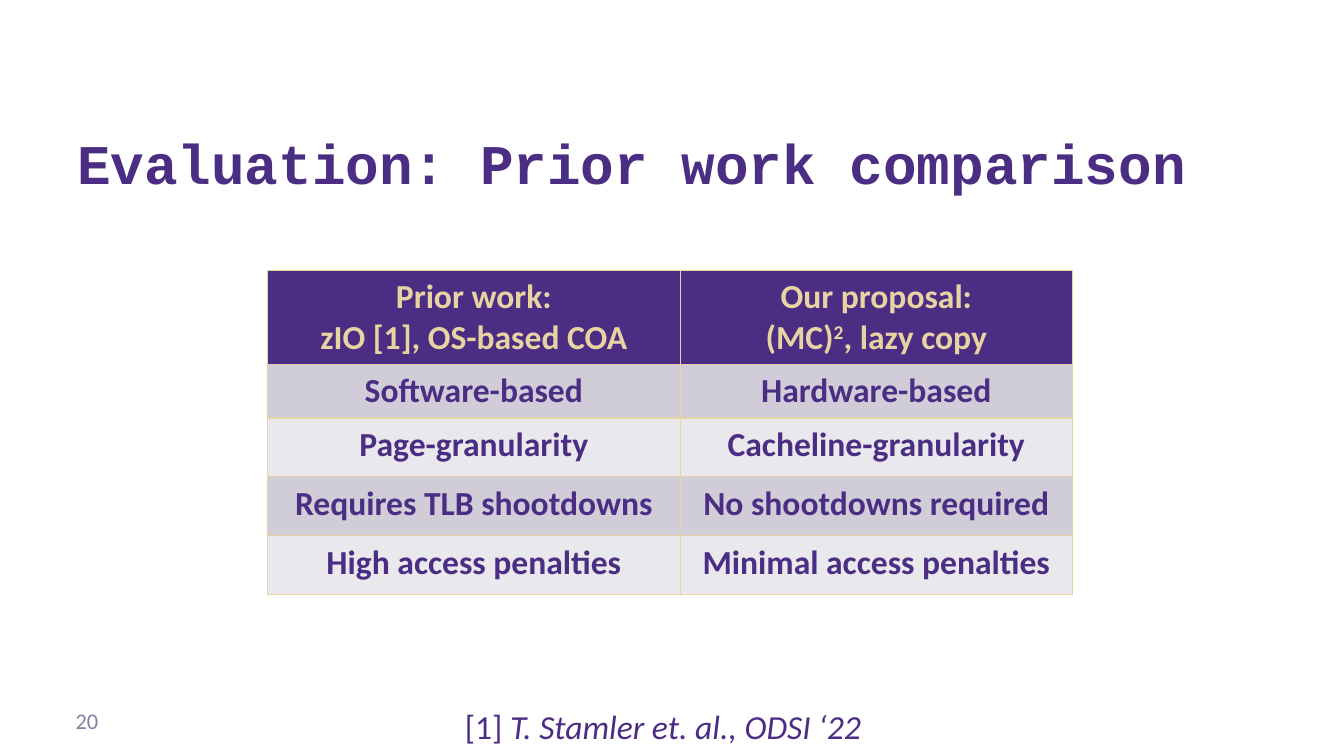
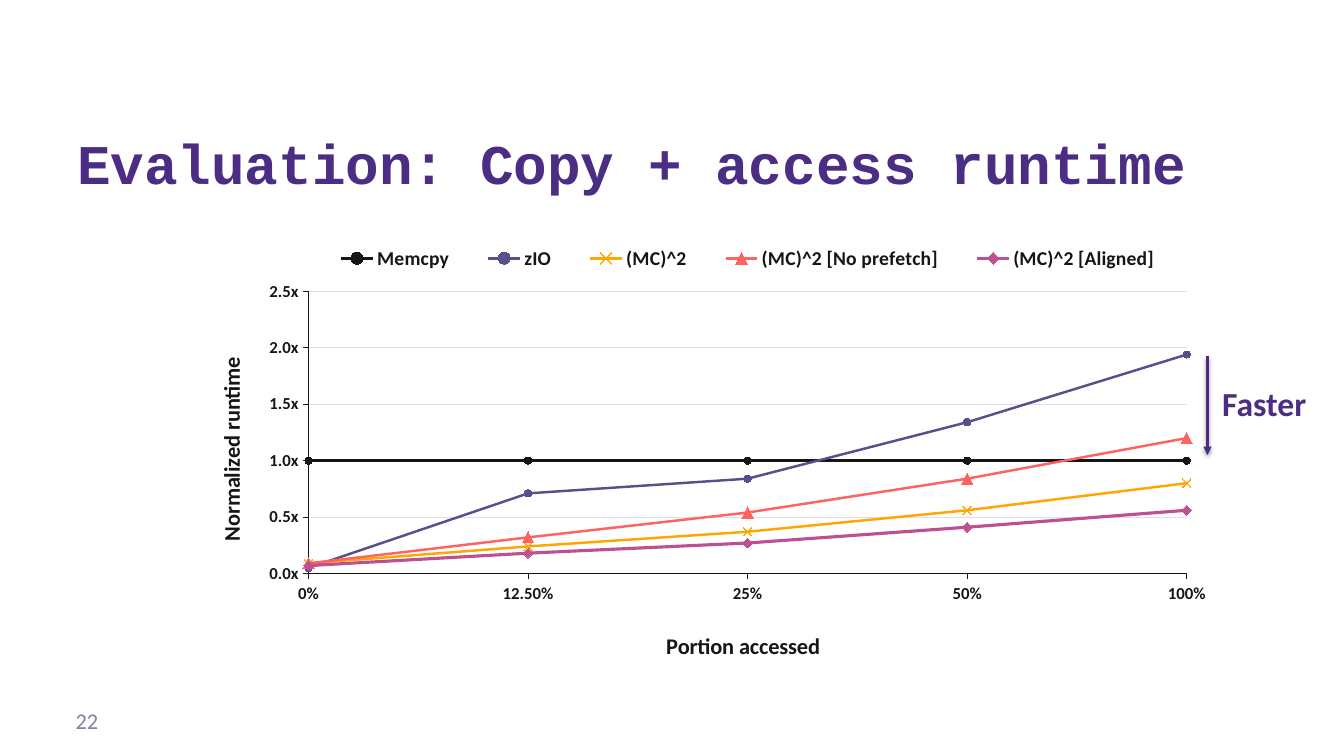
"""Build two evaluation slides: a comparison table and a runtime chart."""
from lxml.etree import SubElement
from pptx import Presentation
from pptx.chart.data import CategoryChartData
from pptx.dml.color import RGBColor
from pptx.enum.chart import XL_CHART_TYPE, XL_LEGEND_POSITION, XL_MARKER_STYLE, XL_TICK_MARK
from pptx.enum.shapes import MSO_CONNECTOR
from pptx.enum.text import MSO_ANCHOR, PP_ALIGN
from pptx.oxml.ns import qn
from pptx.util import Pt

THEME = {
    "purple": RGBColor.from_string("4B2E83"),
    "gold": RGBColor.from_string("E8D3A2"),
    "muted": RGBColor.from_string("867EA3"),
    "ink": RGBColor.from_string("151616"),
    "grid": RGBColor.from_string("E2DAF2"),
    "bands": [RGBColor.from_string(c) for c in ("D0CDD9", "E9E8ED")],
    "title": 40, "body": 24, "page": 16, "axis": 16, "legend": 14, "tick": 12,
    "head": "Courier New", "font": "Calibri",
}


def style(font, size, color, **look):
    """Apply the theme font, a size, a colour and further font values."""
    values = {"name": THEME["font"], "size": Pt(THEME[size]), **look}
    for name, value in values.items():
        setattr(font, name, value)
    font.color.rgb = THEME[color]


def write(frame, lines, size, color, align=PP_ALIGN.LEFT, **look):
    """Fill a text frame with lines made of (text, mark) runs."""
    frame.word_wrap = True
    for i, line in enumerate(lines):
        para = frame.paragraphs[0] if i == 0 else frame.add_paragraph()
        para.alignment = align
        for text, mark in line:
            run = para.add_run()
            run.text = text
            style(run.font, size, color, **look)
            if mark == "italic":
                run.font.italic = True
            if mark == "super":
                run.font._element.set("baseline", "30000")


deck = Presentation()
deck.slide_width, deck.slide_height = Pt(960), Pt(540)

slides = []
for title, page in (("Evaluation: Prior work comparison", "20"),
                    ("Evaluation: Copy + access runtime", "22")):
    slide = deck.slides.add_slide(deck.slide_layouts[6])
    head = slide.shapes.add_textbox(Pt(48), Pt(39), Pt(858), Pt(104)).text_frame
    head.vertical_anchor = MSO_ANCHOR.BOTTOM
    write(head, [[(title, "")]], "title", "purple", name=THEME["head"], bold=True)
    foot = slide.shapes.add_textbox(Pt(47), Pt(500), Pt(216), Pt(29)).text_frame
    foot.vertical_anchor = MSO_ANCHOR.MIDDLE
    write(foot, [[(page, "")]], "page", "muted")
    slides.append(slide)
first, second = slides

rows = [
    ([[("Prior work:", "")], [("zIO [1], OS-based COA", "")]],
     [[("Our proposal:", "")], [("(MC)", ""), ("2", "super"), (", lazy copy", "")]]),
]
for left, right in (("Software-based", "Hardware-based"),
                    ("Page-granularity", "Cacheline-granularity"),
                    ("Requires TLB shootdowns", "No shootdowns required"),
                    ("High access penalties", "Minimal access penalties")):
    rows.append(([[(left, "")]], [[(right, "")]]))

table = first.shapes.add_table(5, 2, Pt(191), Pt(193), Pt(575), Pt(231)).table
for col, width in zip(table.columns, (295, 280)):
    col.width = Pt(width)
for row, height in zip(table.rows, (67, 38, 42, 42, 42)):
    row.height = Pt(height)
insets = {"margin_left": Pt(9.6), "margin_right": Pt(9.6),
          "margin_top": Pt(4.8), "margin_bottom": Pt(4.8)}
for r, row in enumerate(rows):
    for c, lines in enumerate(row):
        cell = table.cell(r, c)
        for name, value in insets.items():
            setattr(cell, name, value)
        props = cell._tc.get_or_add_tcPr()
        for side in ("a:lnL", "a:lnR", "a:lnT", "a:lnB"):
            edge = SubElement(props, qn(side), w=str(Pt(1)))
            paint = SubElement(edge, qn("a:solidFill"))
            SubElement(paint, qn("a:srgbClr"), val=str(THEME["gold"]))
        cell.fill.solid()
        cell.fill.fore_color.rgb = THEME["bands"][(r - 1) % 2] if r else THEME["purple"]
        write(cell.text_frame, lines, "body", "purple" if r else "gold",
              PP_ALIGN.CENTER, bold=True)

note = first.shapes.add_textbox(Pt(325), Pt(501), Pt(320), Pt(36)).text_frame
write(note, [[("[1] ", ""), ("T. Stamler et. al., ODSI ‘22", "italic")]], "body", "purple")

series = [
    ("Memcpy", (1, 1, 1, 1, 1), "151616", 1.75, "CIRCLE", 5),
    ("zIO", (0.05, 0.71, 0.84, 1.34, 1.94), "58508D", 1.75, "CIRCLE", 5),
    ("(MC)^2", (0.09, 0.24, 0.37, 0.56, 0.8), "FFA600", 1.75, "X", 6),
    ("(MC)^2 [No prefetch]", (0.09, 0.32, 0.54, 0.84, 1.2), "FF6361", 1.75, "TRIANGLE", 8),
    ("(MC)^2 [Aligned]", (0.07, 0.18, 0.27, 0.41, 0.56), "BC5090", 2.25, "DIAMOND", 7),
]
data = CategoryChartData()
data.categories = ["0%", "12.50%", "25%", "50%", "100%"]
for name, values, *_ in series:
    data.add_series(name, values)
chart = second.shapes.add_chart(XL_CHART_TYPE.LINE_MARKERS, Pt(98), Pt(164),
                                Pt(765), Pt(315), data).chart
chart.has_title = False
chart.has_legend = True
chart.legend.position = XL_LEGEND_POSITION.TOP
chart.legend.include_in_layout = False
style(chart.legend.font, "legend", "ink", bold=True)

plot = chart.plots[0]
plot.vary_by_categories = False
for line, (_, _, color, width, shape, size) in zip(plot.series, series):
    tint = RGBColor.from_string(color)
    line.smooth = False
    line.format.line.width = Pt(width)
    line.format.line.color.rgb = tint
    mark = line.marker
    mark.style, mark.size = XL_MARKER_STYLE[shape], size
    mark.format.fill.solid()
    mark.format.fill.fore_color.rgb = tint
    mark.format.line.color.rgb = tint

base, scale = chart.category_axis, chart.value_axis
for axis, label in ((base, "Portion accessed"), (scale, "Normalized runtime")):
    axis.major_tick_mark = XL_TICK_MARK.OUTSIDE
    axis.minor_tick_mark = XL_TICK_MARK.NONE
    style(axis.tick_labels.font, "tick", "ink", bold=True)
    axis.format.line.width = Pt(0.75)
    axis.format.line.color.rgb = THEME["ink"]
    run = axis.axis_title.text_frame.paragraphs[0].add_run()
    run.text = label
    style(run.font, "axis", "ink", bold=True)
base.has_major_gridlines = False
limits = {"minimum_scale": 0, "maximum_scale": 2.5, "major_unit": 0.5,
          "has_major_gridlines": True}
for name, value in limits.items():
    setattr(scale, name, value)
scale.tick_labels.number_format = "0.0\\x"
scale.tick_labels.number_format_is_linked = False
scale.major_gridlines.format.line.width = Pt(0.75)
scale.major_gridlines.format.line.color.rgb = THEME["grid"]

node = scale._element
for old in node.findall(qn("c:crossBetween")):
    node.remove(old)
cross = SubElement(node, qn("c:crossBetween"), val="midCat")
node.xpath("c:crossAx | c:crosses")[-1].addnext(cross)

area = chart._chartSpace.find(".//" + qn("c:plotArea"))
places = [
    (area, 0, {"x": 0.16, "y": 0.14, "w": 0.82, "h": 0.64}),
    (chart.legend._element, 1, {"x": 0.16, "y": 0.03, "w": 0.82, "h": 0.07}),
    (base.axis_title._element, 1, {"x": 0.49, "y": 0.9}),
    (scale.axis_title._element, 1, {"x": 0.07, "y": 0.28}),
]
for node, index, box in places:
    for old in node.findall(qn("c:layout")):
        node.remove(old)
    layout = SubElement(node, qn("c:layout"))
    manual = SubElement(layout, qn("c:manualLayout"))
    if node is area:
        SubElement(manual, qn("c:layoutTarget"), val="inner")
    for tag, value in {"xMode": "edge", "yMode": "edge", **box}.items():
        SubElement(manual, qn("c:" + tag), val=str(value))
    node.insert(index, layout)

label = second.shapes.add_textbox(Pt(858), Pt(270), Pt(90), Pt(36)).text_frame
write(label, [[("Faster", "")]], "body", "purple", PP_ALIGN.CENTER, bold=True)

arrow = second.shapes.add_connector(MSO_CONNECTOR.STRAIGHT, Pt(862.5), Pt(254),
                                    Pt(862.5), Pt(325))
arrow.line.width = Pt(2)
arrow.line.color.rgb = THEME["purple"]
SubElement(arrow.line._get_or_add_ln(), qn("a:tailEnd"), type="triangle")
effect = SubElement(arrow._element.spPr, qn("a:effectLst"))
shade = SubElement(effect, qn("a:outerShdw"), blurRad=str(Pt(3.1)), dist=str(Pt(1.6)),
                   dir="5400000", rotWithShape="0")
black = SubElement(shade, qn("a:srgbClr"), val="000000")
SubElement(black, qn("a:alpha"), val="38000")

deck.save("out.pptx")
